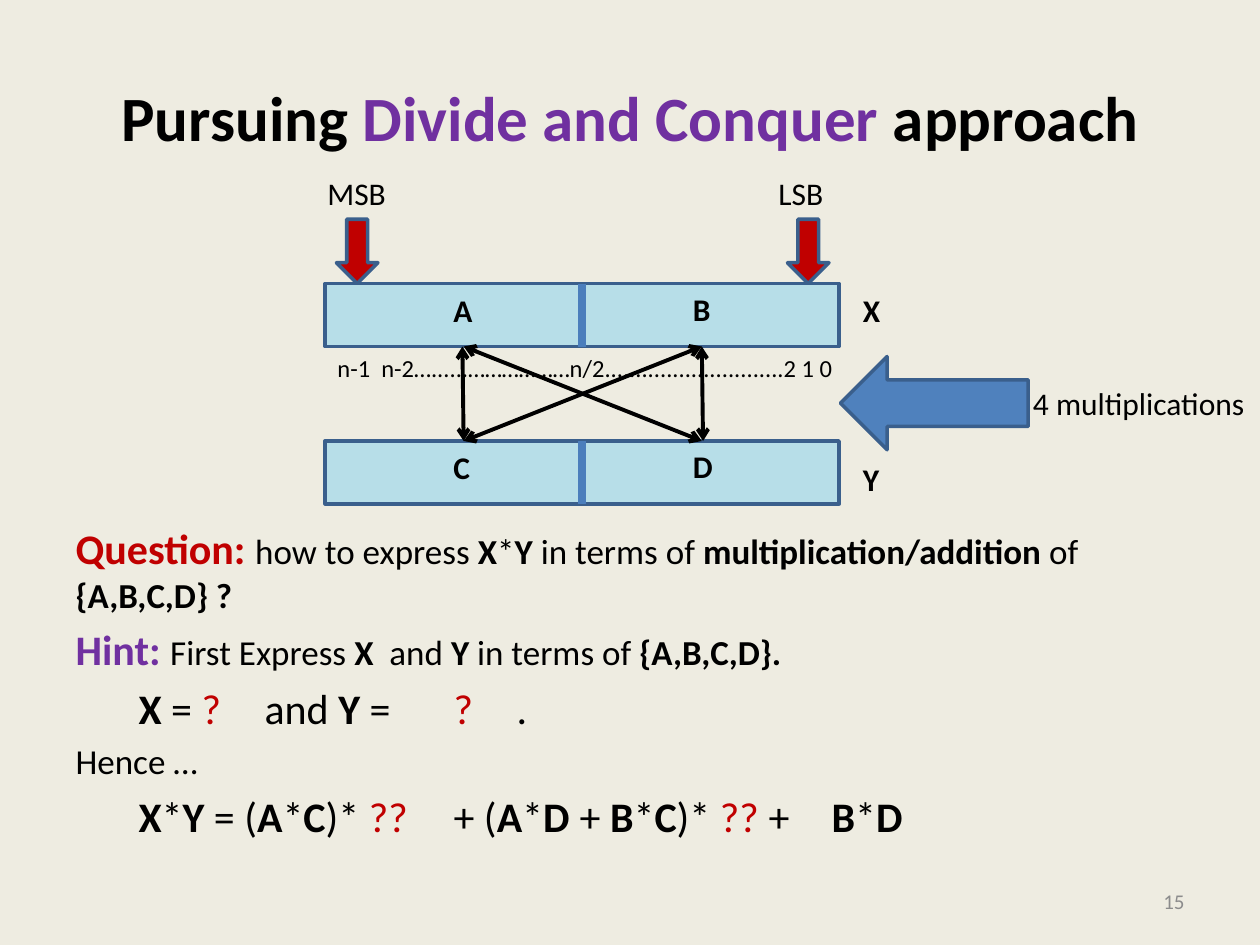
"""Build the slide on pursuing a divide and conquer approach to multiplication."""
from lxml.etree import SubElement
from pptx import Presentation
from pptx.dml.color import RGBColor
from pptx.enum.shapes import MSO_CONNECTOR, MSO_SHAPE
from pptx.enum.text import MSO_ANCHOR, MSO_AUTO_SIZE, PP_ALIGN
from pptx.oxml.ns import qn
from pptx.util import Inches, Pt

COLORS = {
    "background": "EEECE1", "black": "000000", "red": "C00000",
    "purple": "7030A0", "bar": "B7DEE8", "blue": "4F81BD",
    "outline": "3A5F8C", "divider": "4B7EBC", "gray": "8C8C8C",
}


def add_run(paragraph, text, size, color="black", bold=False):
    run = paragraph.add_run()
    run.text = text
    formats = {"name": "Calibri", "size": Pt(size), "bold": bold}
    for attribute, value in formats.items():
        setattr(run.font, attribute, value)
    run.font.color.rgb = RGBColor.from_string(COLORS[color])


def add_block(kind, left, top, width, height, color):
    block = slide.shapes.add_shape(kind, Inches(left), Inches(top), Inches(width), Inches(height))
    block.shadow.inherit = False
    block.fill.solid()
    block.fill.fore_color.rgb = RGBColor.from_string(COLORS[color])
    block.line.color.rgb = RGBColor.from_string(COLORS["outline"])
    block.line.width = Pt(2)
    return block


prs = Presentation()
prs.slide_width, prs.slide_height = Inches(10), Inches(7.5)
slide = prs.slides.add_slide(prs.slide_layouts[1])
slide.background.fill.solid()
slide.background.fill.fore_color.rgb = RGBColor.from_string(COLORS["background"])

title, body = slide.placeholders
for holder, top, height in ((title, 0.3, 1.25), (body, 4.1, 3.23)):
    holder.left, holder.top = Inches(0.5), Inches(top)
    holder.width, holder.height = Inches(9), Inches(height)
    holder.text_frame.auto_size = MSO_AUTO_SIZE.NONE

heading = title.text_frame.paragraphs[0]
heading.alignment = PP_ALIGN.CENTER
for text, color in (("Pursuing", "black"), (" Divide and Conquer ", "purple"), ("approach", "black")):
    add_run(heading, text, 36, color, True)

PLAIN = (20,)
STRONG = (20, "black", True)
FORMULA = (24,)
TERM = (24, "black", True)
UNKNOWN = (24, "red")
lines = [
    ([], [("Question: ", (24, "red", True)), ("how to express ", PLAIN), ("X", STRONG),
          ("*", PLAIN), ("Y ", STRONG), ("in terms of ", PLAIN),
          ("multiplication/addition ", STRONG), ("of", PLAIN), (" {A,B,C,D} ?", STRONG)]),
    ([], [("Hint: ", (24, "purple", True)), ("First Express ", PLAIN), ("X ", STRONG),
          (" and ", PLAIN), ("Y ", STRONG), ("in terms of ", PLAIN), ("{A,B,C,D}.", STRONG)]),
    ([0.83, 2.09, 3.45, 5.28, 6.33],
     [("\tX ", TERM), ("=\t", FORMULA), ("?\t", UNKNOWN), ("and ", FORMULA),
      ("Y ", TERM), ("=\t", FORMULA), ("?\t", UNKNOWN), (".", FORMULA)]),
    ([], [("Hence …", PLAIN)]),
    ([0.83, 3.27, 4.41, 6.28, 6.61],
     [("\tX", TERM), ("*", FORMULA), ("Y ", TERM), ("= (", FORMULA), ("A", TERM),
      ("*", FORMULA), ("C", TERM), (")* ", FORMULA), ("??\t", UNKNOWN), ("+ (", FORMULA),
      ("A", TERM), ("*", FORMULA), ("D\t", TERM), ("+ ", FORMULA), ("B", TERM),
      ("*", FORMULA), ("C", TERM), (")* ", FORMULA), ("??\t", UNKNOWN), ("+\t", FORMULA),
      ("B", TERM), ("*", FORMULA), ("D", TERM)]),
]
for index, (tabs, runs) in enumerate(lines):
    paragraph = body.text_frame.paragraphs[0] if index == 0 else body.text_frame.add_paragraph()
    properties = paragraph._p.get_or_add_pPr()
    properties.set("marL", "0")
    properties.set("indent", "0")
    SubElement(properties, qn("a:buNone"))
    if tabs:
        stops = SubElement(properties, qn("a:tabLst"))
        for position in tabs:
            SubElement(stops, qn("a:tab"), pos=str(Inches(position)), algn="l")
    if index == 0:
        paragraph.space_before = Pt(0)
    for text, style in runs:
        add_run(paragraph, text, *style)

bars = [add_block(MSO_SHAPE.RECTANGLE, 2.58, top, 4.08, 0.5, "bar") for top in (2.25, 3.5)]
for left in (2.67, 6.25):
    add_block(MSO_SHAPE.DOWN_ARROW, left, 1.74, 0.33, 0.51, "red")

dividers = []
for bar in bars:
    divider = slide.shapes.add_connector(MSO_CONNECTOR.STRAIGHT, 0, 0, 0, 0)
    divider.begin_connect(bar, 0)
    divider.end_connect(bar, 2)
    dividers.append(divider)

labels = [
    ("X", 6.75, 2.26, 0.34, 18, True), ("Y", 6.75, 3.6, 0.33, 18, True),
    ("MSB", 2.5, 1.33, 0.67, 18, False), ("LSB", 6.08, 1.33, 0.56, 18, False),
    ("n-1  n-2…......………………n/2.............................2 1 0", 2.58, 2.75, 4.24, 14, False),
    ("A", 3.5, 2.26, 0.35, 18, True), ("B", 5.4, 2.25, 0.34, 18, True),
    ("C", 3.5, 3.51, 0.34, 18, True), ("D", 5.4, 3.5, 0.36, 18, True),
    ("4 multiplications", 8.1, 3, 1.9, 18, False),
]
for text, left, top, width, size, bold in labels:
    height = 0.4 if size == 18 else 0.34
    label = slide.shapes.add_textbox(Inches(left), Inches(top), Inches(width), Inches(height))
    label.text_frame.word_wrap = False
    label.text_frame.auto_size = MSO_AUTO_SIZE.SHAPE_TO_FIT_TEXT
    add_run(label.text_frame.paragraphs[0], text, size, "black", bold)

products = []
for start, end in ((3.67, 3.68), (5.57, 5.58), (3.68, 5.57), (5.57, 3.68)):
    products.append(slide.shapes.add_connector(
        MSO_CONNECTOR.STRAIGHT, Inches(start), Inches(2.75), Inches(end), Inches(3.5)))

for connectors, color, width in ((dividers, "divider", 4.5), (products, "black", 2.25)):
    for connector in connectors:
        connector.line.color.rgb = RGBColor.from_string(COLORS[color])
        connector.line.width = Pt(width)
        SubElement(connector._element.spPr, qn("a:effectLst"))
for product in products:
    for end in ("a:headEnd", "a:tailEnd"):
        SubElement(product.line._get_or_add_ln(), qn(end), type="arrow")

add_block(MSO_SHAPE.LEFT_ARROW, 6.67, 2.83, 1.49, 0.74, "blue")

page = slide.shapes.add_textbox(Inches(7.17), Inches(6.95), Inches(2.33), Inches(0.4))
page.text_frame.word_wrap = True
page.text_frame.vertical_anchor = MSO_ANCHOR.MIDDLE
page.text_frame.paragraphs[0].alignment = PP_ALIGN.RIGHT
add_run(page.text_frame.paragraphs[0], "15", 12, "gray")

prs.save("out.pptx")
